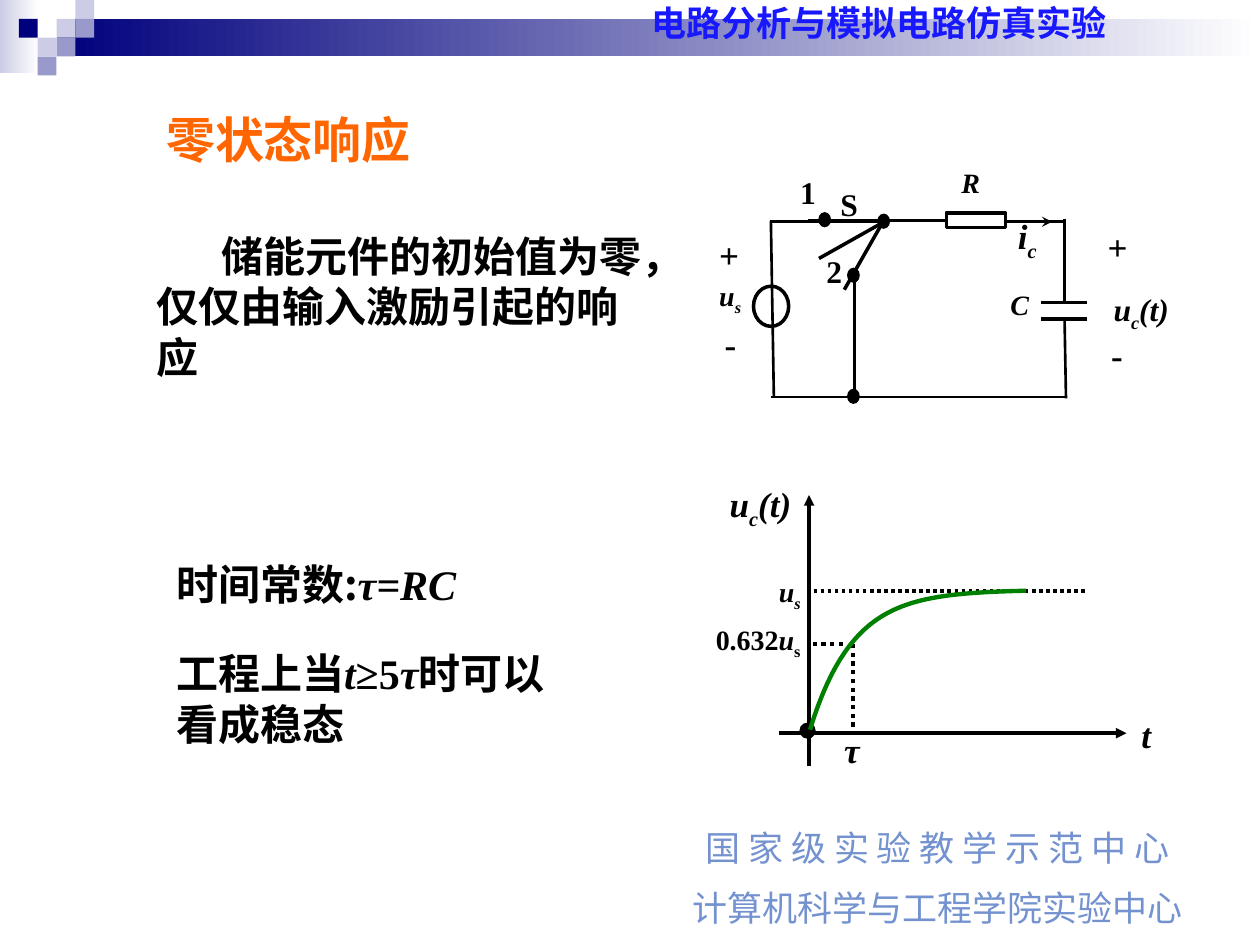
"""Build the zero-state response slide with its circuit and charging curve."""
from math import exp

from lxml import etree
from pptx import Presentation
from pptx.dml.color import RGBColor
from pptx.enum.dml import MSO_LINE
from pptx.enum.shapes import MSO_CONNECTOR, MSO_SHAPE
from pptx.enum.text import MSO_ANCHOR, MSO_AUTO_SIZE, PP_ALIGN
from pptx.oxml.ns import qn
from pptx.util import Cm, Pt

RECTANGLE, ELLIPSE = MSO_SHAPE.RECTANGLE, MSO_SHAPE.OVAL
STRAIGHT, DOTTED = MSO_CONNECTOR.STRAIGHT, MSO_LINE.ROUND_DOT
TOP, MIDDLE = MSO_ANCHOR.TOP, MSO_ANCHOR.MIDDLE
LEFT, CENTER = PP_ALIGN.LEFT, PP_ALIGN.CENTER
GROW = MSO_AUTO_SIZE.SHAPE_TO_FIT_TEXT
COLORS = {
    "navy": "00007D", "pale": "CCCCE6", "lilac": "9999CC", "white": "FFFFFF",
    "black": "000000", "header": "1818FF", "footer": "7392CF",
    "title": "FF6600", "curve": "008000",
}
SANS, SERIF = "Noto Sans CJK SC", "Times New Roman"
ITALIC = {"italic": True}
SUBSCRIPT = {"italic": True, "baseline": -25}
MATH = {"font": SERIF, "italic": True}


def color(name):
    """Return the named colour."""
    return RGBColor.from_string(COLORS[name])


def add_run(paragraph, text, size=24, font=SANS, tint="black", bold=True,
            italic=False, baseline=0):
    """Append formatted text to a paragraph."""
    run = paragraph.add_run()
    run.text = text
    run.font.size = Pt(size)
    run.font.name = font
    run.font.bold, run.font.italic = bold, italic
    run.font.color.rgb = color(tint)
    properties = run._r.get_or_add_rPr()
    if baseline:
        properties.set("baseline", str(baseline * 1000))
    east_asian = etree.SubElement(properties, qn("a:ea"))
    east_asian.set("typeface", SERIF if font == SERIF else SANS)


class SlideBuilder:
    """Draw styled elements on the current slide, in centimetres."""

    def __init__(self, slide):
        """Keep the slide to draw on."""
        self.slide = slide

    def shape(self, kind, box, fill=None, line=None, width=0.75, fade=False):
        """Add a preset shape, plain or fading to white."""
        shape = self.slide.shapes.add_shape(kind, *map(Cm, box))
        shape.shadow.inherit = False
        if fade:
            shape.fill.gradient()
            shape.fill.gradient_angle = 0
            for stop, name in zip(shape.fill.gradient_stops, (fill, "white")):
                stop.color.rgb = color(name)
        elif fill:
            shape.fill.solid()
            shape.fill.fore_color.rgb = color(fill)
        else:
            shape.fill.background()
        if line:
            shape.line.color.rgb = color(line)
            shape.line.width = Pt(width)
        else:
            shape.line.fill.background()
        return shape

    def line(self, start, end, width=1.5, dash=None, arrow=None):
        """Add a straight black line."""
        connector = self.slide.shapes.add_connector(
            STRAIGHT, *map(Cm, start + end))
        connector.line.color.rgb = color("black")
        connector.line.width = Pt(width)
        if dash:
            connector.line.dash_style = dash
        if arrow:
            outline = connector.line._get_or_add_ln()
            etree.SubElement(outline, qn("a:tailEnd")).set("type", arrow)
        etree.SubElement(connector._element.spPr, qn("a:effectLst"))

    def text(self, box, paragraphs, margins=(0.25, 0.13), anchor=TOP,
             align=LEFT, indent=0, fill=None, **style):
        """Add a text box; each paragraph is a list of (text, format) runs."""
        shape = self.slide.shapes.add_textbox(*map(Cm, box))
        if fill:
            shape.fill.solid()
            shape.fill.fore_color.rgb = color(fill)
        frame = shape.text_frame
        frame.word_wrap, frame.auto_size = True, GROW
        frame.vertical_anchor = anchor
        frame.margin_left = frame.margin_right = Cm(margins[0])
        frame.margin_top = frame.margin_bottom = Cm(margins[1])
        for index, runs in enumerate(paragraphs):
            paragraph = frame.add_paragraph() if index else frame.paragraphs[0]
            paragraph.alignment = align
            if index:
                paragraph.space_before = Pt(10)
            if indent:
                paragraph._p.get_or_add_pPr().set("indent", str(Cm(indent)))
            for content, changes in runs:
                add_run(paragraph, content, **{**style, **changes})

    def label(self, left, top, width, size, *runs):
        """Add a diagram label without margins."""
        self.text((left, top, width, size * 0.042), [runs], margins=(0, 0),
                  size=size, font=SERIF)

    def curve(self, points, width=2.5):
        """Add an open curve through the points."""
        points = [(Cm(x), Cm(y)) for x, y in points]
        builder = self.slide.shapes.build_freeform(*points[0])
        builder.add_line_segments(points[1:], close=False)
        shape = builder.convert_to_shape()
        shape.shadow.inherit = False
        shape.fill.background()
        shape.line.color.rgb = color("curve")
        shape.line.width = Pt(width)


def draw_frame(builder):
    """Draw the banner, the header and the footer."""
    builder.shape(RECTANGLE, (0, 0, 0.79, 1.47), "pale", fade=True)
    builder.shape(RECTANGLE, (1.14, 0.38, 24.26, 0.76), "navy", fade=True)
    side = 0.38
    for column, row, fill in [
            (3, 1, "pale"), (4, 0, "pale"), (4, 1, "lilac"), (2, 2, "pale"),
            (1, 1, "navy"), (3, 2, "lilac"), (2, 3, "lilac")]:
        builder.shape(RECTANGLE, (column * side, row * side, side, side), fill)
    builder.text((13.08, 0, 10.13, 0.91), [[("电路分析与模拟电路仿真实验", {})]],
                 margins=(0.05, 0.03), size=20, font="Arial", tint="header")
    builder.text((12.4, 16.54, 13, 2.39),
                 [[("国 家 级 实 验 教 学 示 范 中 心", {})],
                  [("计算机科学与工程学院实验中心", {})]],
                 align=CENTER, size=20, tint="footer", bold=False)


def draw_text(builder):
    """Write the title and the explanations."""
    builder.text((3.1, 2.08, 5.77, 1.45), [[("零状态响应", {})]],
                 size=28, tint="title")
    builder.text((2.9, 4.52, 10.41, 3.3),
                 [[("储能元件的初始值为零，仅仅由输入激励引起的响应", {})]],
                 anchor=MIDDLE, indent=1.32, font="Arial")
    builder.text((3.3, 11.13, 7.8, 1.27),
                 [[("时间常数:", {}), ("τ=RC", MATH)]], anchor=MIDDLE)
    builder.text((3.3, 12.93, 8.61, 2.29),
                 [[("工程上当", {}), ("t", MATH), ("≥5", {"font": SERIF}),
                   ("τ", MATH), ("时可以看成稳态", {})]],
                 anchor=MIDDLE, fill="white")


def draw_circuit(builder):
    """Draw the switched RC circuit."""
    for start, end, width in [
            ((17.86, 4.45), (16.51, 5.21), 2), ((17.83, 4.42), (17.02, 5.84), 2),
            ((17.78, 4.45), (16.28, 4.45), 2), ((20.98, 6.1), (21.92, 6.1), 2),
            ((20.98, 6.43), (21.92, 6.43), 2), ((15.54, 4.45), (15.6, 8), 1.5),
            ((15.54, 8), (21.46, 8), 1.5), ((20.27, 4.47), (21.46, 4.47), 1.5),
            ((17.22, 5.56), (17.22, 8), 1.5), ((21.46, 4.42), (21.46, 6.07), 1.5),
            ((21.46, 6.43), (21.49, 8.03), 1.5),
            ((17.86, 4.45), (19.05, 4.45), 1.5),
            ((15.52, 4.47), (16.71, 4.47), 1.5)]:
        builder.line(start, end, width)
    builder.line((20.5, 4.47), (21.21, 4.47), 1, arrow="stealth")
    for left, top in [(17.09, 5.41), (17.09, 7.85), (17.7, 4.32), (16.51, 4.29)]:
        builder.shape(ELLIPSE, (left, top, 0.23, 0.28), "black", "black")
    builder.shape(ELLIPSE, (15.19, 5.77, 0.71, 0.81), line="black", width=2)
    builder.shape(RECTANGLE, (19.08, 4.29, 1.19, 0.3), line="black", width=2)
    for left, top, size, text, style in [
            (16.13, 3.48, 18, "1", {}), (16.66, 5.08, 18, "2", {}),
            (16.94, 3.73, 18, "S", {}), (19.38, 3.33, 16, "R", ITALIC),
            (20.37, 5.79, 16, "C", ITALIC), (14.5, 4.7, 20, "+", {}),
            (14.61, 6.5, 20, "-", {}), (22.33, 4.55, 20, "+", {}),
            (22.4, 6.73, 20, "-", {})]:
        builder.label(left, top, 0.48 if text in "+-" else 0.71, size, (text, style))
    builder.label(14.5, 5.61, 0.81, 16, ("u", ITALIC), ("s", SUBSCRIPT))
    builder.label(20.52, 4.32, 0.71, 20, ("i", ITALIC), ("c", SUBSCRIPT))
    builder.label(22.45, 5.84, 1.65, 18,
                  ("u", ITALIC), ("c", SUBSCRIPT), ("(t)", ITALIC))


def draw_response(builder):
    """Draw the axes and the exponential charging curve."""
    builder.shape(ELLIPSE, (16.13, 14.58, 0.3, 0.3), "black", "black")
    builder.line((15.7, 14.78), (22.71, 14.78), 2, arrow="triangle")
    builder.line((16.31, 15.44), (16.31, 9.98), 2, arrow="triangle")
    builder.line((16.26, 11.91), (21.87, 11.91), 2, DOTTED)
    builder.line((16.38, 12.98), (17.07, 12.98), 2.5, DOTTED)
    builder.line((17.2, 12.98), (17.2, 14.78), 2.5, DOTTED)
    builder.label(14.71, 9.73, 1.4, 20,
                  ("u", ITALIC), ("c", SUBSCRIPT), ("(t)", ITALIC))
    builder.label(23.01, 14.38, 0.69, 20, ("t", ITALIC))
    builder.label(15.7, 11.58, 0.69, 16, ("u", ITALIC), ("s", SUBSCRIPT))
    builder.label(14.43, 12.55, 2.01, 16,
                  ("0.632", {}), ("u", ITALIC), ("s", {"baseline": -25}))
    builder.label(17.02, 14.68, 0.56, 20, ("τ", ITALIC))
    steps, time_constant = 100, 0.87
    times = [5 * time_constant * step / steps for step in range(steps + 1)]
    builder.curve([(16.33 + time, 11.89 + 2.82 * exp(-time / time_constant))
                   for time in times])


def main():
    """Build and save the presentation."""
    presentation = Presentation()
    presentation.slide_width, presentation.slide_height = Cm(25.4), Cm(19.05)
    builder = SlideBuilder(
        presentation.slides.add_slide(presentation.slide_layouts[6]))
    for draw in (draw_frame, draw_text, draw_circuit, draw_response):
        draw(builder)
    presentation.save("out.pptx")


if __name__ == "__main__":
    main()
